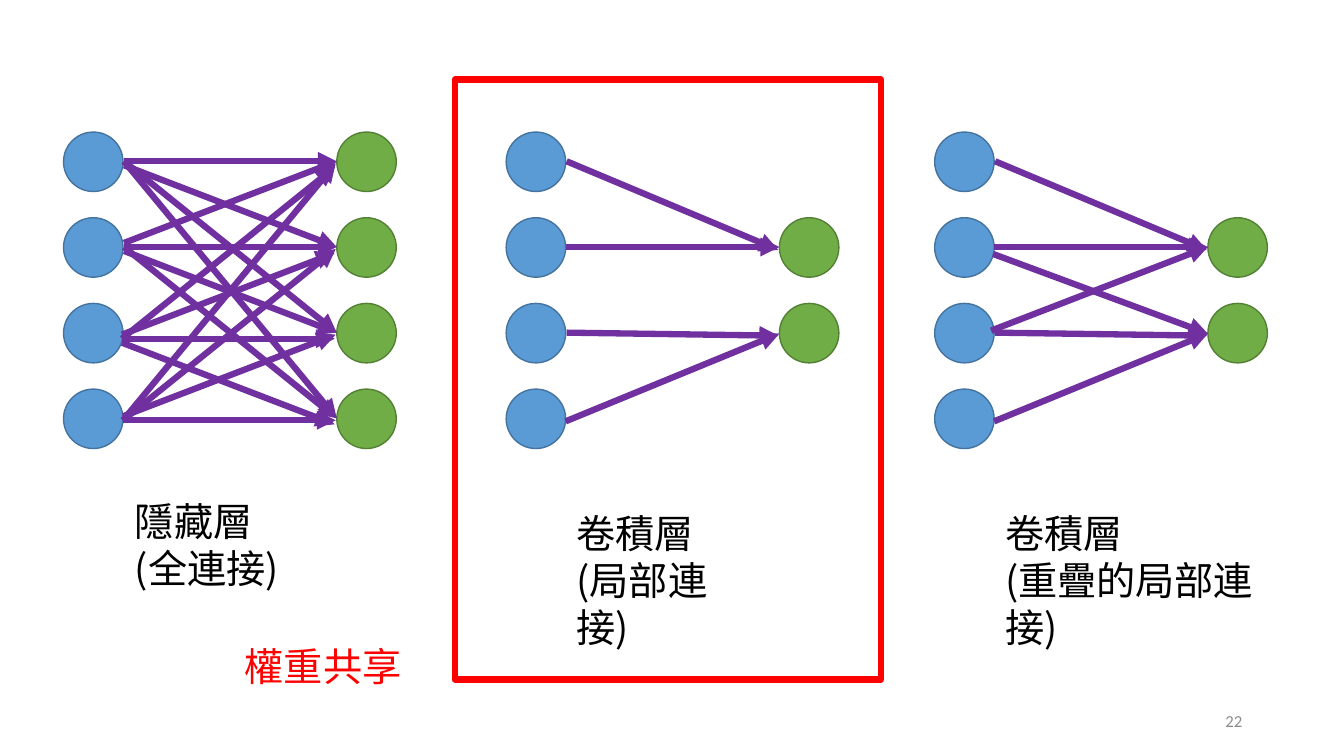
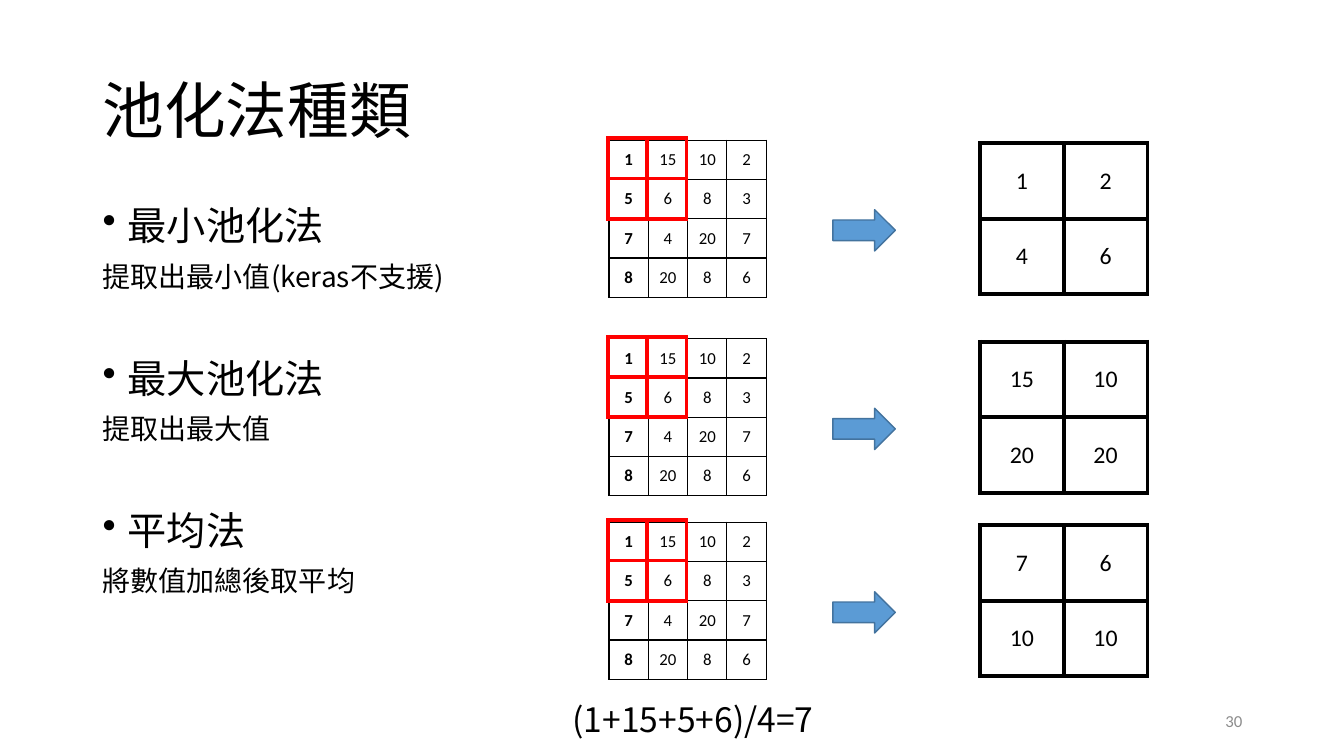
from lxml import etree
from pptx import Presentation
from pptx.dml.color import RGBColor
from pptx.enum.shapes import MSO_CONNECTOR, MSO_SHAPE
from pptx.enum.text import MSO_ANCHOR, PP_ALIGN
from pptx.oxml.ns import qn
from pptx.util import Inches, Pt

OVAL, BOX, BLOCK_ARROW = MSO_SHAPE.OVAL, MSO_SHAPE.RECTANGLE, MSO_SHAPE.RIGHT_ARROW
STRAIGHT = MSO_CONNECTOR.STRAIGHT
TOP, MIDDLE = MSO_ANCHOR.TOP, MSO_ANCHOR.MIDDLE
LEFT, CENTER, RIGHT = PP_ALIGN.LEFT, PP_ALIGN.CENTER, PP_ALIGN.RIGHT

BLUE, BLUE_EDGE = RGBColor(0x5B, 0x9B, 0xD5), RGBColor(0x43, 0x73, 0x9E)
GREEN, GREEN_EDGE = RGBColor(0x70, 0xAD, 0x47), RGBColor(0x53, 0x80, 0x35)
PURPLE = RGBColor(0x70, 0x30, 0xA0)
RED = RGBColor(0xFF, 0x00, 0x00)
BLACK = RGBColor(0x00, 0x00, 0x00)
GRAY = RGBColor(0x8C, 0x8C, 0x8C)
CJK, LATIN = "Noto Sans CJK SC", "Calibri"


def write(frame, lines, size, color=BLACK, name=CJK, bold=False, **paragraph_format):
    """Fill a text frame with one paragraph per line, all in one style."""
    frame.word_wrap = True
    for index, line in enumerate(lines):
        para = frame.paragraphs[0] if index == 0 else frame.add_paragraph()
        for key, value in paragraph_format.items():
            setattr(para, key, value)
        span = para.add_run()
        span.text = line
        span.font.color.rgb = color
        for key, value in {"size": Pt(size), "name": name, "bold": bold}.items():
            setattr(span.font, key, value)
        east_asian = etree.SubElement(span.font._element, qn("a:ea"))
        east_asian.set("typeface", name)


def draw(page, kind, at, fill, edge, width=1):
    """Add a preset shape with a flat fill (or none) and an outline."""
    shape = page.shapes.add_shape(kind, *map(Inches, at))
    shape.shadow.inherit = False
    if fill is None:
        shape.fill.background()
    else:
        shape.fill.solid()
        shape.fill.fore_color.rgb = fill
    shape.line.color.rgb = edge
    shape.line.width = Pt(width)


deck = Presentation()
deck.slide_width, deck.slide_height = Inches(13.33), Inches(7.5)
blank = deck.slide_layouts[6]
layers_page, pooling_page = deck.slides.add_slide(blank), deck.slides.add_slide(blank)

# Slide 1: fully connected, locally connected and overlapping layers
ROW_TOP, ROW_STEP, NODE, OUTPUT_SHIFT = 1.31, 0.85, 0.59, 2.71
FULL, LOCAL, OVERLAP = 0.63, 5.02, 9.27
for left, output_rows in ((FULL, range(4)), (LOCAL, (1, 2)), (OVERLAP, (1, 2))):
    for column, rows, fill, edge in ((left, range(4), BLUE, BLUE_EDGE),
                                     (left + OUTPUT_SHIFT, output_rows, GREEN, GREEN_EDGE)):
        for row in rows:
            draw(layers_page, OVAL, (column, ROW_TOP + row * ROW_STEP, NODE, NODE), fill, edge)

arrows = []
row_shifts = ((0, 0), (0, 0), (-0.02, 0.06), (-0.01, 0.02))
for source, (shift_x, shift_y) in enumerate(row_shifts):
    for target in range(4):
        step = target - source
        nudge = 0.04 * step if abs(step) == 1 else 0
        start_y, end_y = (1.6 + row * ROW_STEP + shift_y for row in (source, target))
        arrows.append((1.23 + shift_x, start_y + nudge, 3.34 + shift_x, end_y))

local_arrows = [(0.59, 4.18, 2.71, 3.31), (0.6, 3.3, 2.7, 3.33),
                (0.6, 1.6, 2.7, 2.48), (0.59, 2.45, 2.71, 2.45)]
extra_arrows = [(0.58, 2.52, 2.71, 3.31), (0.56, 3.28, 2.71, 2.45)]
for left, links in ((LOCAL, local_arrows), (OVERLAP, local_arrows + extra_arrows)):
    arrows += [(left + x1, y1, left + x2, y2) for x1, y1, x2, y2 in links]

for ends in arrows:
    arrow = layers_page.shapes.add_connector(STRAIGHT, *map(Inches, ends))
    arrow.line.color.rgb = PURPLE
    arrow.line.width = Pt(4.5)
    etree.SubElement(arrow.line._get_or_add_ln(), qn("a:tailEnd")).set("type", "triangle")
    etree.SubElement(arrow._element.spPr, qn("a:effectLst"))

draw(layers_page, BOX, (4.51, 0.79, 4.23, 5.95), None, RED, 4.5)

# Slide 2: three pooling methods
numbers = ((1, 15, 10, 2), (5, 6, 8, 3), (7, 4, 20, 7), (8, 20, 8, 6))
window = (("", ""), ("", ""))
methods = ((1.39, ((1, 2), (4, 6))),
           (3.36, ((15, 10), (20, 20))),
           (5.18, ((7, 6), (10, 10))))
for top, pooled in methods:
    grids = (
        (6.04, top, 0.39, 0.39, numbers, 12, BLACK, 1, (0.06, 0.03)),
        (6.03, top - 0.02, 0.39, 0.4, window, 12, RED, 3, (0, 0)),
        (9.72, top + 0.03, 0.83, 0.75, pooled, 17, BLACK, 3, (0.09, 0.05)),
    )
    for left, grid_top, width, height, values, size, edge, weight, (side, end) in grids:
        count = len(values)
        table = pooling_page.shapes.add_table(
            count, count, Inches(left), Inches(grid_top),
            Inches(width * count), Inches(height * count)).table
        table.first_row = table.horz_banding = False
        for row, row_values in enumerate(values):
            for column, value in enumerate(row_values):
                cell = table.cell(row, column)
                cell.fill.background()
                cell.vertical_anchor = MIDDLE
                cell.margin_left = cell.margin_right = Inches(side)
                cell.margin_top = cell.margin_bottom = Inches(end)
                if value:
                    write(cell.text_frame, [str(value)], size, name=LATIN,
                          bold=values is numbers and column == 0, alignment=CENTER)
                properties = cell._tc.get_or_add_tcPr()
                for index, border in enumerate(("a:lnL", "a:lnR", "a:lnT", "a:lnB")):
                    line = etree.Element(qn(border), w=str(Pt(weight)))
                    paint = etree.SubElement(line, qn("a:solidFill"))
                    etree.SubElement(paint, qn("a:srgbClr")).set("val", str(edge))
                    properties.insert(index, line)
    draw(pooling_page, BLOCK_ARROW, (8.26, top + 0.69, 0.62, 0.41), BLUE, BLUE_EDGE)

methods_box = pooling_page.shapes.add_textbox(*map(Inches, (0.92, 2, 4.77, 4.76)))
write(methods_box.text_frame,
      ["最小池化法", "提取出最小值(keras不支援)", "最大池化法", "提取出最大值",
       "平均法", "將數值加總後取平均"], 20, line_spacing=0.9, space_before=Pt(10))
for index, para in enumerate(methods_box.text_frame.paragraphs):
    if index % 2 == 0:
        para.runs[0].font.size = Pt(28)
        para.line_spacing = 2.0 if index else 0.9
        properties = para._p.get_or_add_pPr()
        properties.set("marL", str(Inches(0.25)))
        properties.set("indent", str(Inches(-0.25)))
        etree.SubElement(properties, qn("a:buChar")).set("char", "•")

# Captions, title and page numbers
texts = (
    (layers_page, (1.24, 4.88, 1.63, 1.04), ["隱藏層", "(全連接)"], 28, {}),
    (layers_page, (5.62, 5, 1.98, 1.04), ["卷積層", "(局部連接)"], 28, {}),
    (layers_page, (9.87, 5, 3.14, 1.04), ["卷積層", "(重疊的局部連接)"], 28, {}),
    (layers_page, (2.33, 6.32, 1.98, 0.57), ["權重共享"], 28, {"color": RED}),
    (pooling_page, (0.92, 0.4, 11.5, 1.45), ["池化法種類"], 44, {"line_spacing": 0.9}),
    (pooling_page, (5.58, 6.88, 3.19, 0.5), ["(1+15+5+6)/4=7"], 24, {}),
)
number_style = {"color": GRAY, "name": LATIN, "alignment": RIGHT}
page_numbers = tuple((page, (9.42, 6.95, 3, 0.4), [number], 12, number_style)
                     for page, number in ((layers_page, "22"), (pooling_page, "30")))
for page, at, lines, size, style in texts + page_numbers:
    box = page.shapes.add_textbox(*map(Inches, at))
    box.text_frame.vertical_anchor = MIDDLE if size in (12, 44) else TOP
    write(box.text_frame, lines, size, **{"alignment": LEFT, **style})

deck.save("out.pptx")
